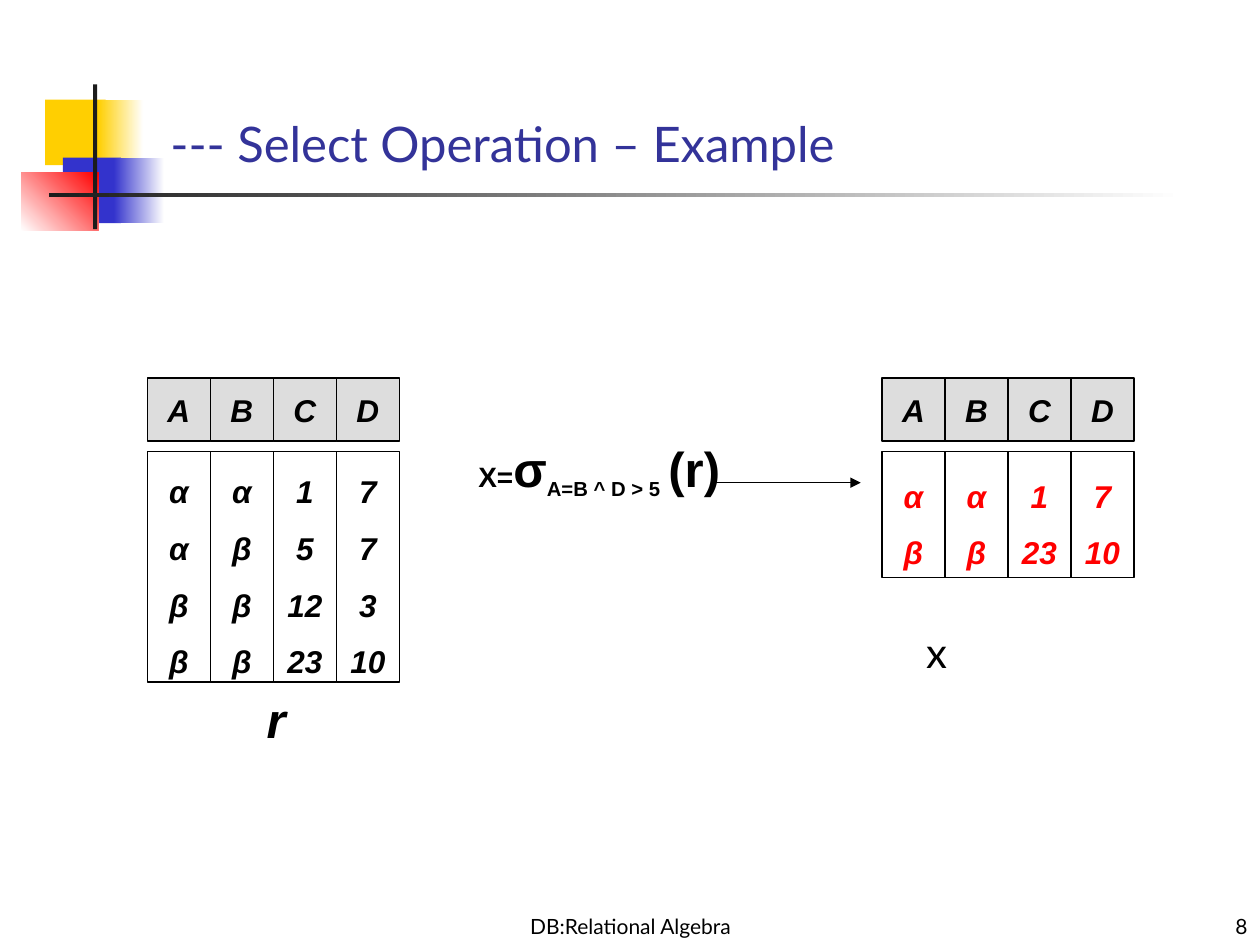
"""Build the slide that shows the select operation on a small relation."""
import pptx
import pptx.dml.color
import pptx.enum.shapes
import pptx.enum.text
import pptx.oxml.ns
import pptx.util
from lxml import etree

Cm = pptx.util.Cm
Pt = pptx.util.Pt
ALIGN = pptx.enum.text.PP_ALIGN
ANCHOR = pptx.enum.text.MSO_ANCHOR
SIZING = pptx.enum.text.MSO_AUTO_SIZE

TITLE = "--- Select Operation – Example"
FOOTER = "DB:Relational Algebra"
PAGE_NUMBER = "8"
HEADINGS = ["A", "B", "C", "D"]
SOURCE_ROWS = [
    ["α", "α", "1", "7"],
    ["α", "β", "5", "7"],
    ["β", "β", "12", "3"],
    ["β", "β", "23", "10"],
]
RESULT_ROWS = [["α", "α", "1", "7"], ["β", "β", "23", "10"]]
RELATIONS = [
    {"left": 2.97, "rows": SOURCE_ROWS, "height": 4.65, "color": "000000"},
    {"left": 17.78, "rows": RESULT_ROWS, "height": 2.54, "color": "FF0000"},
]
FORMULA = [
    ("X=", {"size": 16}),
    ("σ", {"size": 28}),
    ("A=B ^ D > 5", {"size": 20, "baseline": -25000}),
    (" ", {"size": 28, "baseline": -25000}),
    ("(r)", {"size": 28}),
]
ORNAMENTS = [
    ((0.91, 2.01, 1.22, 1.32), ["FFCF01"], 0),
    ((1.98, 2.01, 0.91, 1.32), ["FFCF01", "FFFFFF"], 0),
    ((1.27, 3.18, 1.17, 1.32), ["3333CC"], 0),
    ((2.29, 3.18, 1.02, 1.32), ["3333CC", "FFFFFF"], 0),
    ((0.43, 3.48, 1.55, 1.17), ["FFFFFF", "FF0000"], 45),
    ((1.88, 1.7, 0.08, 2.92), ["1C1C1C"], 0),
    ((0.99, 3.89, 22.86, 0.08), ["1C1C1C", "FFFFFF"], 0),
]
CELL = 1.27
HEADING_TOP = 7.62
ROWS_TOP = 9.1


def paint(target, color):
    target.rgb = pptx.dml.color.RGBColor.from_string(color)


def add_span(para, text, size=18, font="Arial", color="000000", bold=False,
             italic=False, baseline=0):
    span = para.add_run()
    span.text = text
    span.font.size = Pt(size)
    span.font.name = font
    span.font.bold = bold
    span.font.italic = italic
    paint(span.font.color, color)
    if baseline:
        span.font._element.set("baseline", str(baseline))


def write(box, paragraphs, align=ALIGN.CENTER, anchor=ANCHOR.MIDDLE, wrap=True,
          sizing=SIZING.NONE, spacing=None, **style):
    frame = box.text_frame
    frame.word_wrap = wrap
    frame.auto_size = sizing
    frame.vertical_anchor = anchor
    for index, spans in enumerate(paragraphs):
        para = frame.add_paragraph() if index else frame.paragraphs[0]
        para.alignment = align
        if spacing:
            para.line_spacing = spacing
        for text, special in spans:
            add_span(para, text, **{**style, **special})


def add_text(page, place, spans, **style):
    box = page.shapes.add_textbox(*map(Cm, place))
    write(box, [spans], **style)


def add_rectangle(page, place, colors, angle=0, outline=None):
    kind = pptx.enum.shapes.MSO_SHAPE.RECTANGLE
    box = page.shapes.add_shape(kind, *map(Cm, place))
    box.shadow.inherit = False
    if len(colors) == 1:
        box.fill.solid()
        paint(box.fill.fore_color, colors[0])
    else:
        box.fill.gradient()
        box.fill.gradient_angle = angle
        for position, (stop, color) in enumerate(zip(box.fill.gradient_stops, colors)):
            stop.position = position
            paint(stop.color, color)
    if outline:
        paint(box.line.color, outline)
        box.line.width = Pt(0.75)
    else:
        box.line.fill.background()
    return box


def add_relation(page, left, rows, height, color):
    style = {"wrap": False, "bold": True, "italic": True}
    places = [left + CELL * index for index in range(len(HEADINGS))]
    for place, heading in zip(places, HEADINGS):
        box = add_rectangle(page, (place, HEADING_TOP, CELL, CELL), ["DDDDDD"],
                            outline="000000")
        write(box, [[(heading, {})]], **style)
    for place, values in zip(places, zip(*rows)):
        box = add_rectangle(page, (place, ROWS_TOP, CELL, height), ["FFFFFF"],
                            outline="000000")
        write(box, [[(value, {})] for value in values], spacing=1.5, color=color, **style)


def add_arrow(page, start, end):
    kind = pptx.enum.shapes.MSO_CONNECTOR.STRAIGHT
    arrow = page.shapes.add_connector(kind, *map(Cm, start + end))
    paint(arrow.line.color, "000000")
    arrow.line.width = Pt(0.75)
    qualify = pptx.oxml.ns.qn
    etree.SubElement(arrow.line._get_or_add_ln(), qualify("a:tailEnd"), type="triangle")
    etree.SubElement(arrow._element.spPr, qualify("a:effectLst"))


def main():
    deck = pptx.Presentation()
    deck.slide_width, deck.slide_height = Cm(25.4), Cm(19.05)
    page = deck.slides.add_slide(deck.slide_layouts[5])

    for place, colors, angle in ORNAMENTS:
        add_rectangle(page, place, colors, angle)

    title = page.shapes.title
    title.left, title.top, title.width, title.height = map(Cm, (3.18, 1.91, 21.64, 1.7))
    write(title, [[(TITLE, {})]], align=ALIGN.LEFT, anchor=ANCHOR.BOTTOM,
          size=28, font="Lato", color="333399")

    footer = {"anchor": ANCHOR.BOTTOM, "size": 12, "font": "Lato"}
    add_text(page, (8.69, 17.98, 8.05, 1.07), [(FOOTER, {})], **footer)
    add_text(page, (20.12, 17.98, 5.28, 1.07), [(PAGE_NUMBER, {})],
             align=ALIGN.RIGHT, **footer)

    for relation in RELATIONS:
        add_relation(page, **relation)

    grow = SIZING.SHAPE_TO_FIT_TEXT
    add_text(page, (4.29, 13.77, 2.36, 1.45), [(" ", {"size": 20}), ("r", {"size": 28})],
             wrap=False, sizing=grow, bold=True, italic=True)
    add_text(page, (8.69, 8.71, 6.78, 1.6), FORMULA, sizing=grow, bold=True)
    add_arrow(page, (14.4, 9.73), (17.35, 9.73))
    add_text(page, (18.42, 12.5, 2.34, 1.27), [("x", {})], align=ALIGN.LEFT,
             anchor=ANCHOR.TOP, sizing=grow, size=24, font="Lato")
    deck.save("out.pptx")


if __name__ == "__main__":
    main()
